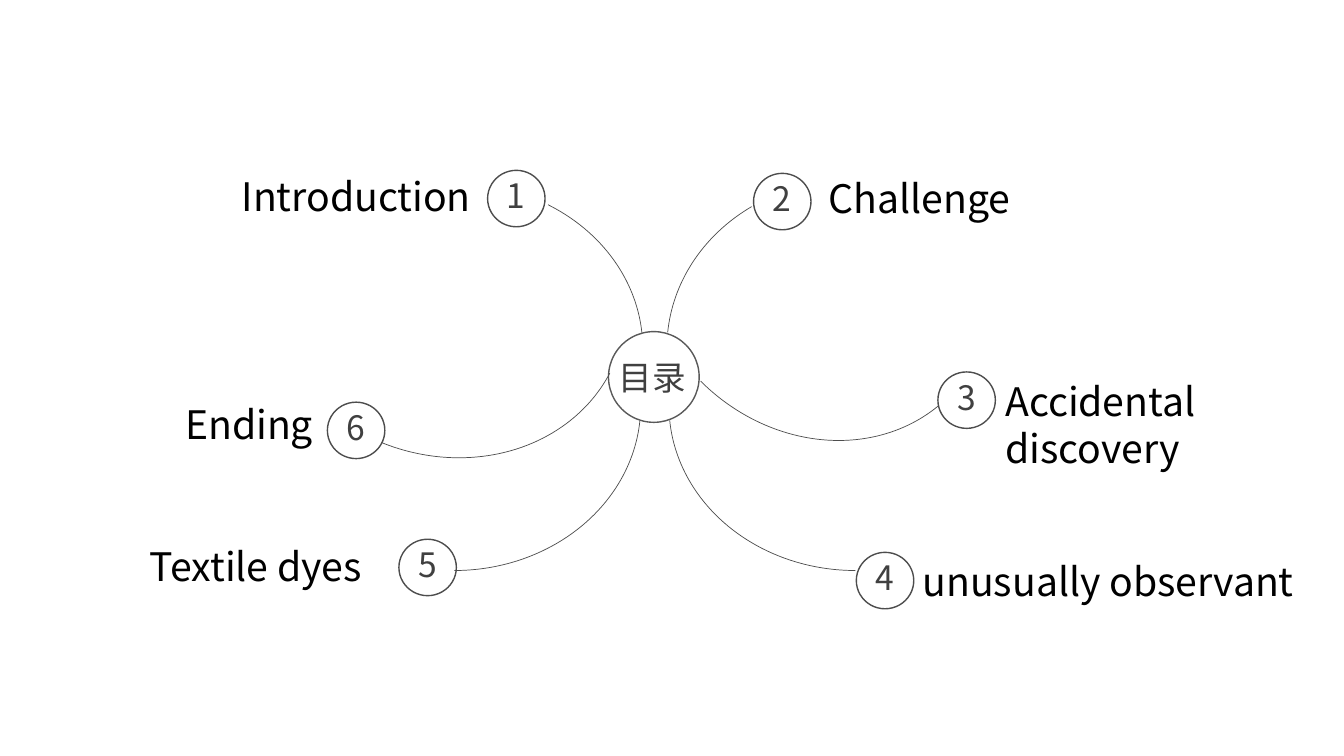
from lxml import etree
from pptx import Presentation
from pptx.dml.color import RGBColor
from pptx.enum import shapes, text
from pptx.oxml.ns import qn
from pptx.util import Inches, Pt

FONT = "Noto Sans CJK SC"
BLACK = RGBColor(0x00, 0x00, 0x00)
TEXT_GREY = RGBColor(0x40, 0x40, 0x40)
LINE_GREY = RGBColor(0x4D, 0x4D, 0x4D)
HUB_GREY = RGBColor(0x59, 0x59, 0x59)

NODE_WIDTH, NODE_HEIGHT = 0.57, 0.56
HUB_SIZE = 0.9
ARC_WIDTH = 3.7

# Left, top, height, rotation, start angle, end angle
BRANCHES = [
    (2.68, 1.82, 3.27, 0, 302.6, 355.2),
    (6.62, 1.78, 3.34, 0, 184.7, 234.2),
    (6.26, 0.99, 3.27, 45, 4.5, 90),
    (6.64, 2.39, 3.27, 0, 90, 175.5),
    (2.66, 2.39, 3.27, 0, 4.5, 90),
    (2.55, 1.24, 3.27, 22, 4.5, 90),
]

# Circle left and top, label left, top and width, label lines; numbered in order
TOPICS = [
    (4.84, 1.69, 2.3, 1.66, 2.5, ["Introduction"]),
    (7.48, 1.72, 8.13, 1.68, 2.0, ["Challenge"]),
    (9.31, 3.69, 9.88, 3.69, 3.4, ["Accidental", "discovery"]),
    (8.5, 5.48, 9.06, 5.48, 4.2, ["unusually observant"]),
    (3.96, 5.35, 1.39, 5.33, 2.5, ["Textile dyes"]),
    (3.25, 3.99, 1.74, 3.92, 1.5, ["Ending"]),
]


def format_paragraph(paragraph, size, color, alignment=text.PP_ALIGN.LEFT):
    paragraph.alignment = alignment
    font = paragraph.font
    font.size = Pt(size)
    font.name = FONT
    font.color.rgb = color
    east_asian = etree.SubElement(font._element if hasattr(font, "_element") else font._rPr, qn("a:ea"))
    east_asian.set("typeface", FONT)


def style_outline(shape, color, width):
    shape.shadow.inherit = False
    shape.fill.background()
    shape.line.color.rgb = color
    shape.line.width = Pt(width)


def add_circle(slide, left, top, width, height, color):
    circle = slide.shapes.add_shape(
        shapes.MSO_SHAPE.OVAL, Inches(left), Inches(top), Inches(width), Inches(height))
    style_outline(circle, color, 1)
    return circle


def add_numbered_circle(slide, number, left, top):
    circle = add_circle(slide, left, top, NODE_WIDTH, NODE_HEIGHT, LINE_GREY)
    frame = circle.text_frame
    frame.margin_left = frame.margin_right = frame.margin_top = 0
    frame.margin_bottom = Inches(0.06)
    frame.word_wrap = False
    frame.vertical_anchor = text.MSO_ANCHOR.MIDDLE
    frame.text = str(number)
    format_paragraph(frame.paragraphs[0], 24, TEXT_GREY, text.PP_ALIGN.CENTER)


def add_branch(slide, left, top, height, rotation, start, end):
    arc = slide.shapes.add_shape(
        shapes.MSO_SHAPE.ARC, Inches(left), Inches(top), Inches(ARC_WIDTH), Inches(height))
    # Adjustments hold 60000ths of a degree, scaled by 100000
    arc.adjustments[0] = start * 0.6
    arc.adjustments[1] = end * 0.6
    arc.rotation = rotation
    style_outline(arc, LINE_GREY, 0.5)


def add_label(slide, left, top, width, lines):
    height = 0.1 + 0.47 * len(lines)
    box = slide.shapes.add_textbox(Inches(left), Inches(top), Inches(width), Inches(height))
    frame = box.text_frame
    frame.word_wrap = True
    frame.text = "\n".join(lines)
    for paragraph in frame.paragraphs:
        format_paragraph(paragraph, 28, BLACK)


def set_title(slide, title_text):
    title = slide.shapes.title
    title.left, title.top = Inches(6.04), Inches(3.49)
    title.width, title.height = Inches(0.93), Inches(0.5)
    frame = title.text_frame
    frame.auto_size = text.MSO_AUTO_SIZE.NONE
    frame.vertical_anchor = text.MSO_ANCHOR.TOP
    frame.text = title_text
    format_paragraph(frame.paragraphs[0], 24, TEXT_GREY)


def main():
    presentation = Presentation()
    presentation.slide_width = Inches(13.34)
    presentation.slide_height = Inches(7.5)
    slide = presentation.slides.add_slide(presentation.slide_layouts[5])

    # Hub with the title inside
    set_title(slide, "目录")
    add_circle(slide, 6.04, 3.29, HUB_SIZE, HUB_SIZE, HUB_GREY)

    # Curved branches
    for branch in BRANCHES:
        add_branch(slide, *branch)

    # Numbered topics
    for number, (left, top, label_left, label_top, width, lines) in enumerate(TOPICS, 1):
        add_numbered_circle(slide, number, left, top)
        add_label(slide, label_left, label_top, width, lines)

    presentation.save("out.pptx")


if __name__ == "__main__":
    main()
